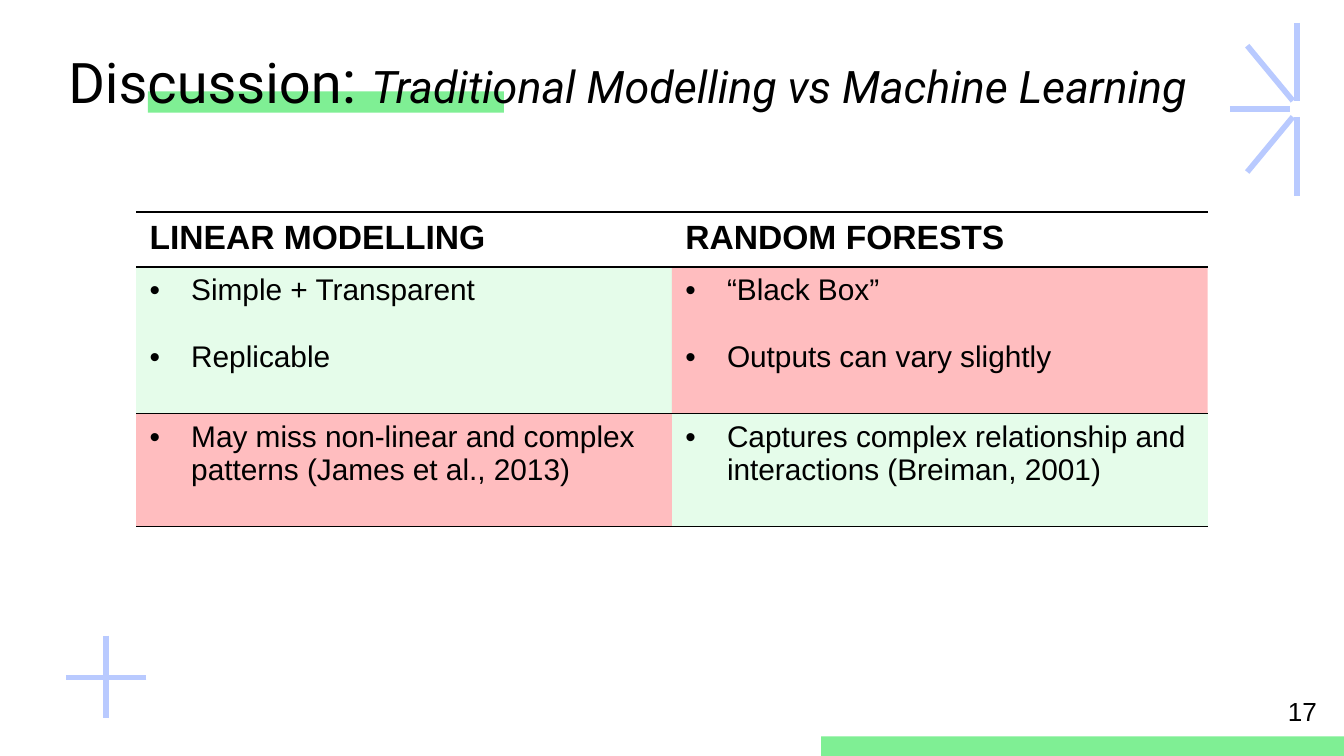
from dataclasses import dataclass
from typing import Optional

from lxml.etree import SubElement
from pptx import Presentation
from pptx.dml.color import RGBColor
from pptx.enum.shapes import MSO_CONNECTOR as Conn, MSO_SHAPE as Shape
from pptx.enum.text import MSO_ANCHOR as Anchor, PP_ALIGN as Align
from pptx.oxml import parse_xml
from pptx.oxml.ns import nsdecls, qn
from pptx.util import Inches, Pt

BLACK = RGBColor(0x00, 0x00, 0x00)
GREEN = RGBColor(0x7F, 0xEF, 0x94)
BLUE = RGBColor(0xB9, 0xCA, 0xFF)
PRO = RGBColor(0xE5, 0xFC, 0xEA)
CON = RGBColor(0xFF, 0x7C, 0x80)
WIDTH = 10
HEIGHT = WIDTH * 9 / 16
INDENT = 0.31


@dataclass
class Box:
    """Place as percentages of the slide's width and height."""
    x: float
    y: float
    w: float
    h: float

    def emu(self) -> tuple:
        return (Inches(self.x * WIDTH / 100), Inches(self.y * HEIGHT / 100),
                Inches(self.w * WIDTH / 100), Inches(self.h * HEIGHT / 100))


@dataclass
class Cell:
    lines: list[str]
    fill: Optional[RGBColor] = None
    alpha: int = 100
    header: bool = False


def pro(*lines: str) -> Cell:
    return Cell(list(lines), PRO)


def con(*lines: str) -> Cell:
    return Cell(list(lines), CON, 50)


def header(text: str) -> Cell:
    return Cell([text], header=True)


BARS = [Box(61.1, 97.4, 38.9, 2.6), Box(11, 12.1, 26.5, 2.8)]
TITLE_BOX = Box(4.1, 5.1, 88.4, 13.9)
TITLE = [("Discussion", 30, False), (": ", 32, False),
         ("Traditional Modelling vs Machine Learning", 24, True)]
NUMBER_BOX = Box(94.3, 91.1, 5.2, 6)

# Strokes in inches: x1, y1, x2, y2
PLUS = [(0.79, 4.73, 0.79, 5.34), (1.09, 5.04, 0.49, 5.04)]
BURST = [(9.65, 0.17, 9.65, 0.75), (9.65, 0.87, 9.65, 1.46),
         (9.28, 0.34, 9.62, 0.75), (9.15, 0.81, 9.6, 0.81),
         (9.28, 1.28, 9.62, 0.87)]

TABLE = Box(10.13, 28.05, 79.74, 41.6)
ROW_HEIGHTS = [0.41, 1.09, 0.84]
ROWS = [
    [header("LINEAR MODELLING"), header("RANDOM FORESTS")],
    [pro("Simple + Transparent", "Replicable"),
     con("“Black Box”", "Outputs can vary slightly")],
    [con("May miss non-linear and complex patterns (James et al., 2013)"),
     pro("Captures complex relationship and interactions (Breiman, 2001)")],
]


def style(font, size: float, name: str, bold: bool = False) -> None:
    font.size, font.name, font.bold = Pt(size), name, bold
    font.color.rgb = BLACK


def add_bar(s, box: Box) -> None:
    sp = s.shapes.add_shape(Shape.RECTANGLE, *box.emu())
    sp.shadow.inherit = False
    sp.fill.solid()
    sp.fill.fore_color.rgb = GREEN
    sp.line.fill.background()


def add_strokes(s, strokes: list[tuple]) -> None:
    group = s.shapes.add_group_shape()
    for ends in strokes:
        line = group.shapes.add_connector(Conn.STRAIGHT, *map(Inches, ends))
        line.line.color.rgb = BLUE
        line.line.width = Pt(3)
        SubElement(line._element.spPr, qn("a:effectLst"))


def add_text(s, box: Box):
    tf = s.shapes.add_textbox(*box.emu()).text_frame
    tf.word_wrap = True
    return tf


def set_borders(cell) -> None:
    """Rule the cell above and below, with open sides."""
    tc_pr = cell._tc.get_or_add_tcPr()
    for i, side in enumerate("LRTB"):
        fill = (f'<a:solidFill><a:srgbClr val="{BLACK}"/></a:solidFill>'
                if side in "TB" else "<a:noFill/>")
        tc_pr.insert(i, parse_xml(
            f'<a:ln{side} {nsdecls("a")} w="{Pt(1)}">{fill}</a:ln{side}>'))


def add_bullet(p) -> None:
    p_pr = p._p.get_or_add_pPr()
    p_pr.set("marL", str(Inches(INDENT)))
    p_pr.set("indent", str(-Inches(INDENT)))
    SubElement(p_pr, qn("a:buFont"), typeface="Arial")
    SubElement(p_pr, qn("a:buChar"), char="•")


def fill_cell(cell, data: Cell) -> None:
    if data.fill is None:
        cell.fill.background()
    else:
        cell.fill.solid()
        cell.fill.fore_color.rgb = data.fill
        if data.alpha < 100:
            color = cell._tc.tcPr.find(".//" + qn("a:srgbClr"))
            SubElement(color, qn("a:alpha"), val=str(data.alpha * 1000))
    set_borders(cell)
    tf = cell.text_frame
    for i, text in enumerate(data.lines):
        p = tf.add_paragraph() if i else tf.paragraphs[0]
        p.text = text
        if i:
            p.space_before = Pt(18)
        if not data.header:
            add_bullet(p)
        style(p.font, 18 if data.header else 16, "Arial", data.header)


def add_comparison(s) -> None:
    table = s.shapes.add_table(len(ROWS), len(ROWS[0]), *TABLE.emu()).table
    table.first_row = table.horz_banding = False
    for row, height, cells in zip(table.rows, ROW_HEIGHTS, ROWS):
        row.height = Inches(height)
        for cell, data in zip(row.cells, cells):
            fill_cell(cell, data)


def main() -> None:
    prs = Presentation()
    prs.slide_width, prs.slide_height = Inches(WIDTH), Inches(HEIGHT)
    s = prs.slides.add_slide(prs.slide_layouts[6])

    # Accent bars
    for bar in BARS:
        add_bar(s, bar)

    # Title
    tf = add_text(s, TITLE_BOX)
    tf.vertical_anchor = Anchor.TOP
    tf.margin_left = tf.margin_right = Inches(0.1)
    tf.margin_top = tf.margin_bottom = Inches(0.1)
    p = tf.paragraphs[0]
    p.line_spacing = 0.9
    for text, size, italic in TITLE:
        r = p.add_run()
        r.text = text
        style(r.font, size, "Roboto")
        r.font.italic = italic

    # Corner ornaments
    for strokes in (PLUS, BURST):
        add_strokes(s, strokes)

    # Comparison table
    add_comparison(s)

    # Page number
    p = add_text(s, NUMBER_BOX).paragraphs[0]
    p.text = "17"
    p.alignment = Align.CENTER
    style(p.font, 14, "Arial")

    prs.save("out.pptx")


if __name__ == "__main__":
    main()
